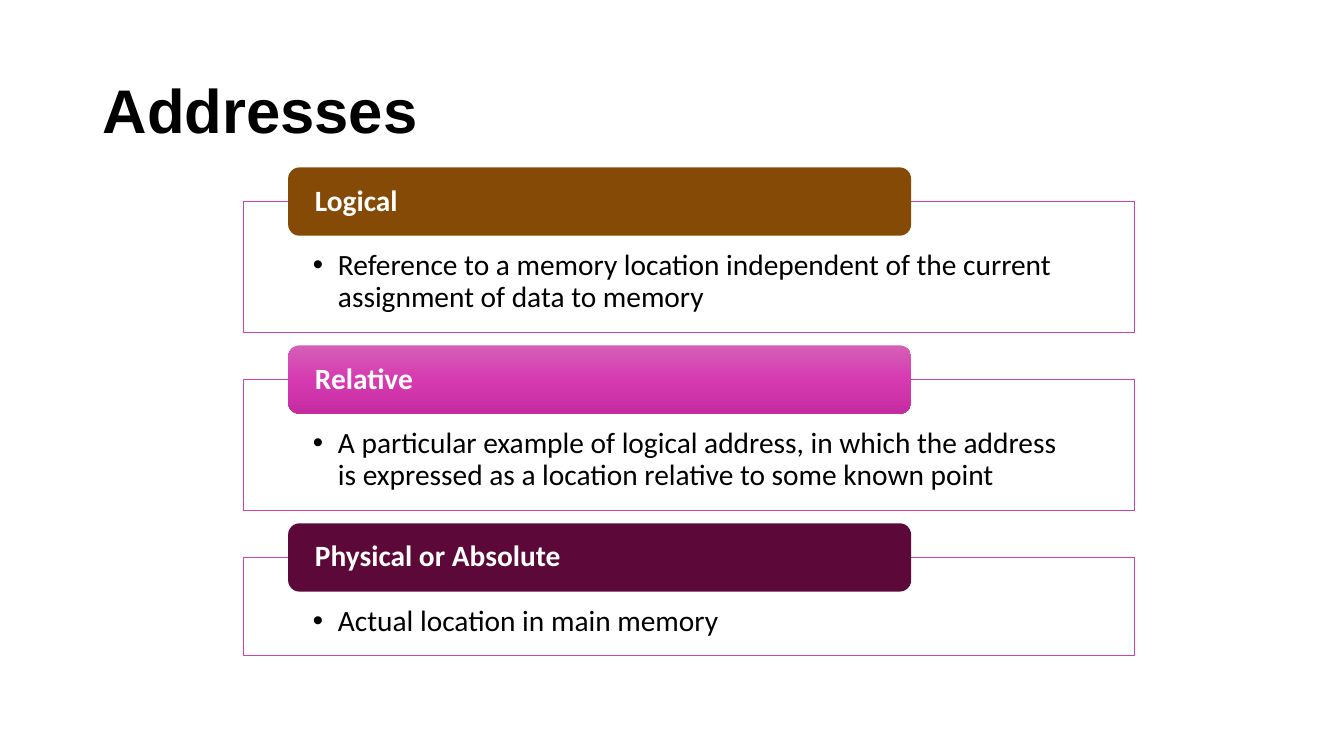
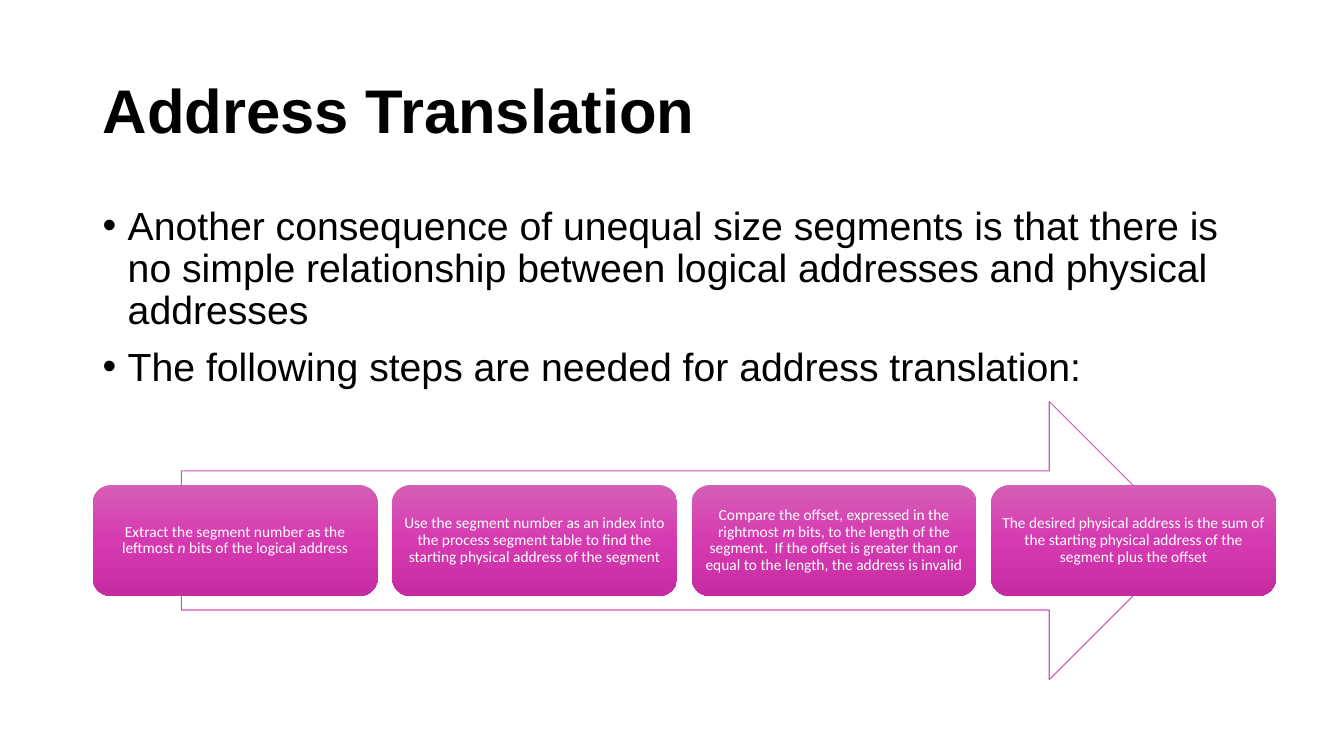
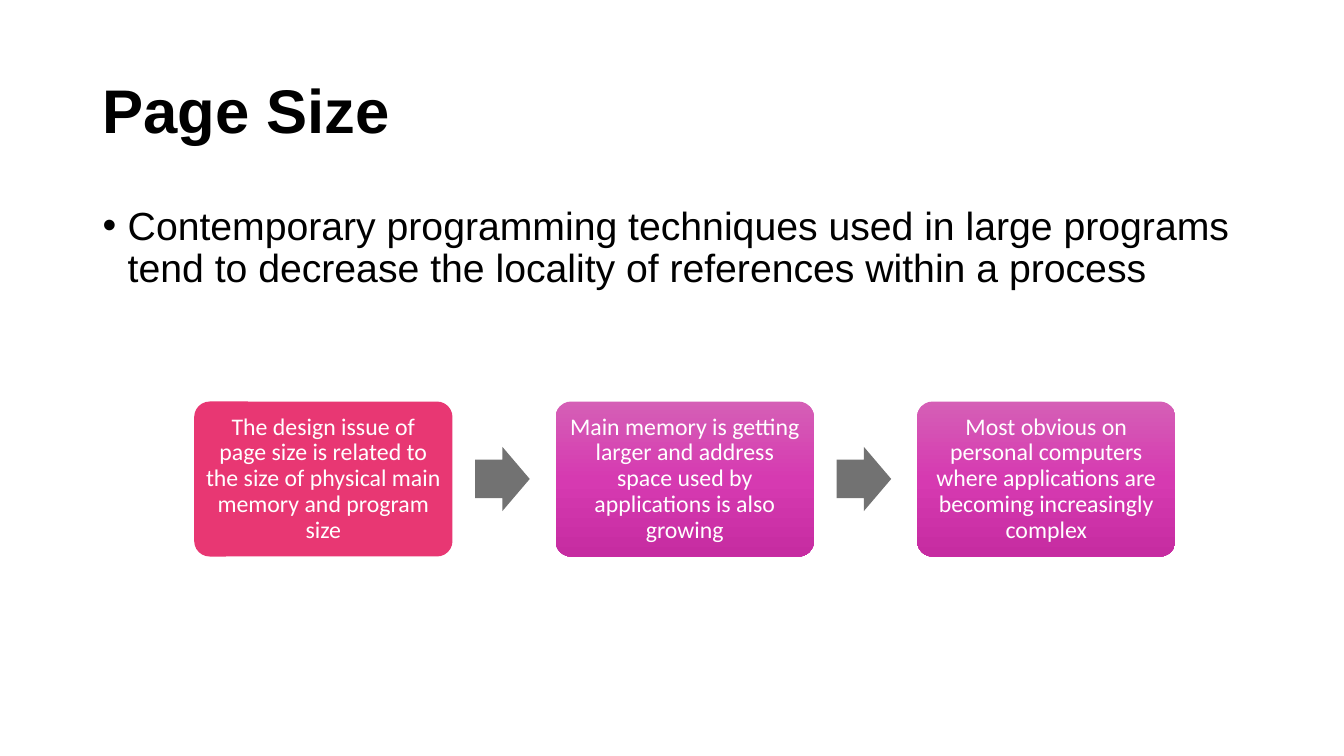
from dataclasses import dataclass
from typing import Any, Optional

import pptx
import pptx.dml.color
import pptx.enum.shapes
import pptx.enum.text
import pptx.oxml.ns
import pptx.util
from lxml import etree

Pt = pptx.util.Pt
qn = pptx.oxml.ns.qn
SHAPES = pptx.enum.shapes.MSO_SHAPE
ALIGN = pptx.enum.text.PP_ALIGN
ANCHOR = pptx.enum.text.MSO_ANCHOR

COLORS = {
    "black": "000000",
    "white": "FFFFFF",
    "outline": "CF41AD",
    "brown": "854A05",
    "plum": "5C0939",
    "rose": "E83773",
    "gray": "727272",
}
PINK_GRADIENT = ((0, "D55FB6"), (0.5, "D63AB1"), (1, "C62CA1"))


@dataclass(frozen=True)
class Box:
    left: float
    top: float
    width: float
    height: float


@dataclass(frozen=True)
class TextStyle:
    font: str
    size: float
    color: str = "black"
    bold: bool = False
    align: Any = ALIGN.LEFT
    anchor: Any = ANCHOR.MIDDLE
    insets: tuple[float, float, float, float] = (7.2, 3.6, 7.2, 3.6)
    bullet: bool = False
    space_before: float = 0


@dataclass(frozen=True)
class Definition:
    term: str
    meaning: str
    fill: Optional[str]
    height: float


TITLE = TextStyle("Arial", 44, bold=True)
BODY = TextStyle("Arial", 28, anchor=ANCHOR.TOP, bullet=True, space_before=10)
MEANING = TextStyle("Calibri", 21, anchor=ANCHOR.TOP, bullet=True,
                    insets=(49.4, 34.7, 49.4, 11.5))
TERM = TextStyle("Calibri", 21, "white", bold=True, insets=(16.8, 0, 16.8, 0))
STEP = TextStyle("Calibri", 11, "white", align=ALIGN.CENTER, insets=(3.6,) * 4)
REASON = TextStyle("Calibri", 17, "white", align=ALIGN.CENTER, insets=(5,) * 4)

TITLE_BOX = Box(66.2, 28.8, 828, 104.4)
BODY_BOX = Box(66.2, 143.8, 828, 342.6)

DEFINITIONS = (
    Definition("Logical", "Reference to a memory location independent of the current "
               "assignment of data to memory", "brown", 93.6),
    Definition("Relative", "A particular example of logical address, in which the address "
               "is expressed as a location relative to some known point", None, 93.6),
    Definition("Physical or Absolute", "Actual location in main memory", "plum", 70.3),
)
STEPS = (
    "Extract the segment number as the leftmost *n* bits of the logical address",
    "Use the segment number as an index into the process segment table to find the "
    "starting physical address of the segment",
    "Compare the offset, expressed in the rightmost *m* bits, to the length of the "
    "segment.  If the offset is greater than or equal to the length, the address is invalid",
    "The desired physical address is the sum of the starting physical address of the "
    "segment plus the offset",
)
REASONS = (
    "The design issue of page size is related to the size of physical main memory "
    "and program size",
    "Main memory is getting larger and address space used by applications is also growing",
    "Most obvious on personal computers where applications are becoming increasingly complex",
)


def rgb(value: str) -> pptx.dml.color.RGBColor:
    return pptx.dml.color.RGBColor.from_string(value)


def apply_format(target: Any, values: dict[str, Any]) -> None:
    for name, value in values.items():
        setattr(target, name, value)


def place(box: Box) -> tuple[Any, ...]:
    return Pt(box.left), Pt(box.top), Pt(box.width), Pt(box.height)


def set_opacity(properties: Any, percent: int) -> None:
    """Make the solid colour directly under an XML fill or line partly transparent."""
    color = properties.find(qn("a:solidFill"))[0]
    etree.SubElement(color, qn("a:alpha"), val=str(percent * 1000))


def add_bullet(paragraph: Any) -> None:
    properties = paragraph._p.get_or_add_pPr()
    properties.set("marL", str(Pt(18)))
    properties.set("indent", str(Pt(-18)))
    etree.SubElement(properties, qn("a:buFont"), typeface="Arial")
    etree.SubElement(properties, qn("a:buChar"), char="•")


def write(shape: Any, paragraphs: tuple[str, ...], style: TextStyle) -> None:
    """Fill a shape with text; words between asterisks become italic."""
    frame = shape.text_frame
    left, top, right, bottom = map(Pt, style.insets)
    apply_format(frame, {
        "word_wrap": True, "vertical_anchor": style.anchor,
        "margin_left": left, "margin_top": top,
        "margin_right": right, "margin_bottom": bottom,
    })
    for index, text in enumerate(paragraphs):
        paragraph = frame.add_paragraph() if index else frame.paragraphs[0]
        if style.bullet:
            add_bullet(paragraph)
        apply_format(paragraph, {"alignment": style.align, "line_spacing": 0.9})
        if index:
            paragraph.space_before = Pt(style.space_before)
        for part_index, part in enumerate(text.split("*")):
            run = paragraph.add_run()
            run.text = part
            apply_format(run.font, {
                "name": style.font, "size": Pt(style.size),
                "bold": style.bold, "italic": part_index % 2 == 1,
            })
            run.font.color.rgb = rgb(COLORS[style.color])


def add_text(slide: Any, box: Box, paragraphs: tuple[str, ...], style: TextStyle) -> None:
    write(slide.shapes.add_textbox(*place(box)), paragraphs, style)


def fill_pink(shape: Any) -> None:
    shape.fill.gradient()
    shape.fill.gradient_angle = 270
    stop_list = shape._element.spPr.find(qn("a:gradFill")).find(qn("a:gsLst"))
    stop_list.clear()
    for position, color in PINK_GRADIENT:
        stop = etree.SubElement(stop_list, qn("a:gs"), pos=str(int(position * 100000)))
        etree.SubElement(stop, qn("a:srgbClr"), val=color)


def add_shape(slide: Any, kind: Any, box: Box, fill: Optional[str] = None,
              line_width: float = 0, adjustments: tuple[float, ...] = ()) -> Any:
    """Draw a preset shape; without a fill name it gets the pink gradient."""
    shape = slide.shapes.add_shape(kind, *place(box))
    shape.shadow.inherit = False
    for index, value in enumerate(adjustments):
        shape.adjustments[index] = value
    if fill:
        shape.fill.solid()
        shape.fill.fore_color.rgb = rgb(COLORS[fill])
    else:
        fill_pink(shape)
    if line_width:
        shape.line.color.rgb = rgb(COLORS["outline"])
        shape.line.width = Pt(line_width)
    else:
        shape.line.fill.background()
    return shape


def add_slide(presentation: Any, title: str, body: tuple[str, ...] = ()) -> Any:
    slide = presentation.slides.add_slide(presentation.slide_layouts[6])
    add_text(slide, TITLE_BOX, (title,), TITLE)
    if body:
        add_text(slide, BODY_BOX, body, BODY)
    return slide


def build_addresses(presentation: Any) -> None:
    slide = add_slide(presentation, "Addresses")
    top, gap = 144, 33.5
    for definition in DEFINITIONS:
        panel = add_shape(slide, SHAPES.RECTANGLE, Box(174, top, 636, definition.height),
                          "white", 0.5)
        set_opacity(panel._element.spPr, 90)
        write(panel, (definition.meaning,), MEANING)
        tab = add_shape(slide, SHAPES.ROUNDED_RECTANGLE, Box(205.8, top - 24.4, 445, 48.8),
                        definition.fill)
        write(tab, (definition.term,), TERM)
        top += definition.height + gap


def build_translation(presentation: Any) -> None:
    slide = add_slide(presentation, "Address Translation", (
        "Another consequence of unequal size segments is that there is no simple "
        "relationship between logical addresses and physical addresses",
        "The following steps are needed for address translation:",
    ))
    arrow = add_shape(slide, SHAPES.RIGHT_ARROW, Box(129.5, 286.8, 719.3, 198.6),
                      "white", 0.75)
    set_opacity(arrow._element.spPr.find(qn("a:ln")), 90)
    left, width, gap = 66.2, 203.7, 10.2
    for index, step in enumerate(STEPS):
        card = add_shape(slide, SHAPES.ROUNDED_RECTANGLE,
                         Box(left + index * (width + gap), 346.4, width, 79.4))
        write(card, (step,), STEP)


def build_page_size(presentation: Any) -> None:
    slide = add_slide(presentation, "Page Size", (
        "Contemporary programming techniques used in large programs tend to decrease "
        "the locality of references within a process",
    ))
    left, top, width, height, pitch = 138.7, 286.8, 184.5, 110.7, 258.2
    arrow_width, arrow_height = 39, 45.8
    for index, reason in enumerate(REASONS):
        card_left = left + index * pitch
        if index:
            add_shape(slide, SHAPES.RIGHT_ARROW,
                      Box(card_left - 57.5, top + (height - arrow_height) / 2,
                          arrow_width, arrow_height), "gray", adjustments=(0.6, 0.5))
        card = add_shape(slide, SHAPES.ROUNDED_RECTANGLE, Box(card_left, top, width, height),
                         None if index else "rose", adjustments=(0.1,))
        write(card, (reason,), REASON)


def main() -> None:
    presentation = pptx.Presentation()
    apply_format(presentation, {"slide_width": Pt(960), "slide_height": Pt(540)})
    build_addresses(presentation)
    build_translation(presentation)
    build_page_size(presentation)
    presentation.save("out.pptx")


if __name__ == "__main__":
    main()
